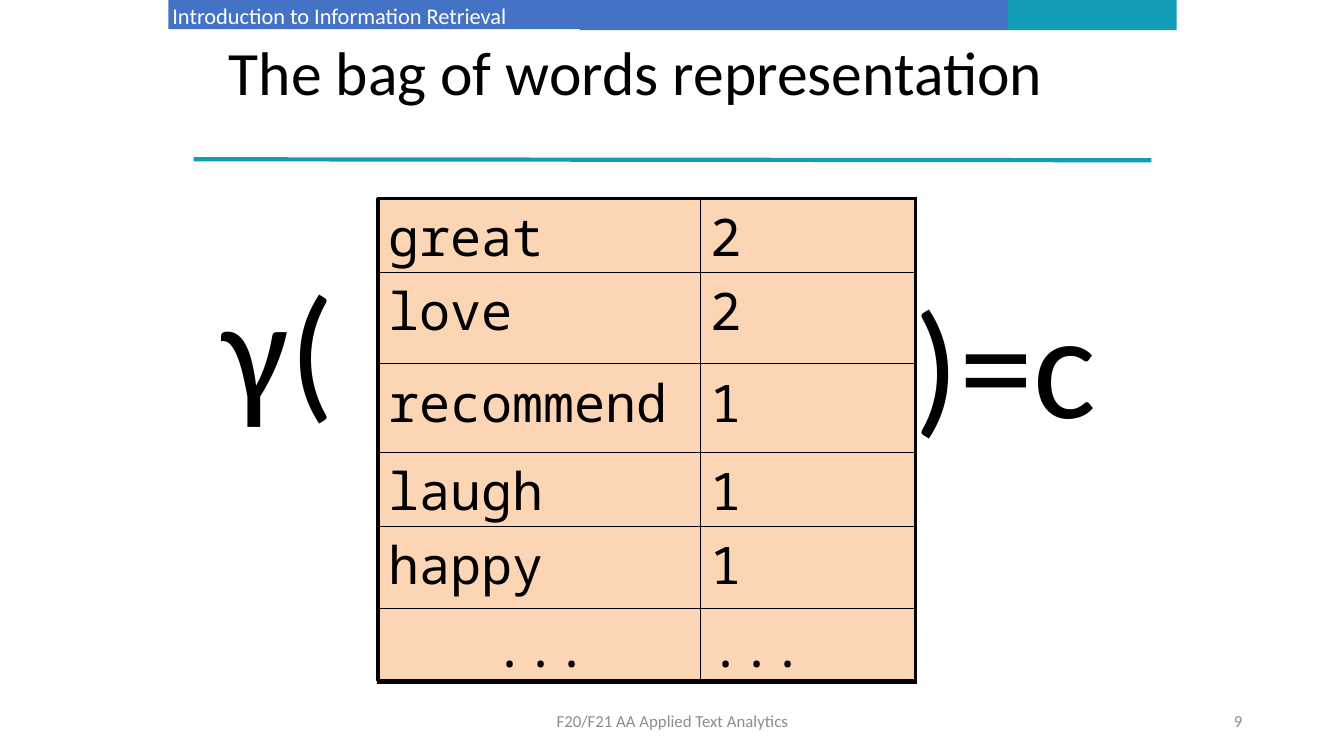
import pptx
import pptx.dml.color
import pptx.enum.shapes
import pptx.enum.text
import pptx.oxml.ns
import pptx.util
from lxml import etree

Inches = pptx.util.Inches
Pt = pptx.util.Pt
qn = pptx.oxml.ns.qn
ALIGN = pptx.enum.text.PP_ALIGN
ANCHOR = pptx.enum.text.MSO_ANCHOR

COLORS = {"blue": "4472C4", "teal": "139CB7", "peach": "FCD5B5",
          "black": "000000", "white": "FFFFFF", "gray": "8C8C8C"}
WORD_COUNTS = [("great", "2"), ("love", "2"), ("recommend", "1"),
               ("laugh", "1"), ("happy", "1"), ("...", "...")]
ROW_HEIGHTS = [0.73, 0.91, 0.88, 0.73, 0.82, 0.73]
COL_WIDTHS = [3.2, 2.13]


def rgb(name):
    return pptx.dml.color.RGBColor.from_string(COLORS[name])


class SlideBuilder:
    body_font = "Calibri"
    mono_font = "Noto Sans Mono"

    def __init__(self, prs):
        self.slide = prs.slides.add_slide(prs.slide_layouts[5])
        self.shapes = self.slide.shapes

    def fill_text(self, tf, text, size, color="black", align=ALIGN.LEFT, font=body_font):
        tf.text = text
        p = tf.paragraphs[0]
        p.alignment = align
        r = p.runs[0]
        r.font.name = font
        r.font.size = Pt(size)
        r.font.color.rgb = rgb(color)
        return p

    def set_margins(self, target, left, top, right, bottom):
        target.margin_left, target.margin_top = Inches(left), Inches(top)
        target.margin_right, target.margin_bottom = Inches(right), Inches(bottom)

    def rect(self, box, fill, line_width=None):
        sp = self.shapes.add_shape(pptx.enum.shapes.MSO_SHAPE.RECTANGLE, *map(Inches, box))
        sp.shadow.inherit = False
        sp.fill.solid()
        sp.fill.fore_color.rgb = rgb(fill)
        if line_width:
            sp.line.color.rgb = rgb("black")
            sp.line.width = Pt(line_width)
        else:
            sp.line.fill.background()

    def line(self, start, end, color, width):
        cxn = self.shapes.add_connector(pptx.enum.shapes.MSO_CONNECTOR.STRAIGHT,
                                        *map(Inches, start + end))
        cxn.line.color.rgb = rgb(color)
        cxn.line.width = Pt(width)
        etree.SubElement(cxn._element.spPr, qn("a:effectLst"))

    def title(self, box, text, size):
        sp = self.shapes.title
        sp.left, sp.top, sp.width, sp.height = map(Inches, box)
        tf = sp.text_frame
        tf.vertical_anchor = ANCHOR.MIDDLE
        tf.auto_size = pptx.enum.text.MSO_AUTO_SIZE.NONE
        self.set_margins(tf, 0.1, 0.05, 0.14, 0.05)
        self.fill_text(tf, text, size).line_spacing = 0.9

    def text(self, box, text, size, color="black", align=ALIGN.LEFT,
             anchor=ANCHOR.TOP, margins=(0.04, 0, 0.04, 0), wrap=True):
        tf = self.shapes.add_textbox(*map(Inches, box)).text_frame
        tf.word_wrap = wrap
        tf.vertical_anchor = anchor
        self.set_margins(tf, *margins)
        self.fill_text(tf, text, size, color, align)

    def border(self, cell, side, width):
        ln = etree.SubElement(cell._tc.get_or_add_tcPr(), qn(f"a:ln{side}"), w=str(Pt(width)))
        fill = etree.SubElement(ln, qn("a:solidFill"))
        etree.SubElement(fill, qn("a:srgbClr"), val=COLORS["black"])

    def table(self, box, rows, col_widths, row_heights, size):
        """Add a see-through grid with thick outer and thin inner borders."""
        table = self.shapes.add_table(len(rows), len(col_widths), *map(Inches, box)).table
        table.first_row = table.horz_banding = False
        for column, width in zip(table.columns, col_widths):
            column.width = Inches(width)
        last_row, last_col = len(rows) - 1, len(col_widths) - 1
        for i, (values, height) in enumerate(zip(rows, row_heights)):
            table.rows[i].height = Inches(height)
            for j, value in enumerate(values):
                cell = table.cell(i, j)
                self.set_margins(cell, 0.1, 0.03, 0.06, 0)
                centered = (i, j) == (last_row, 0)
                self.fill_text(cell.text_frame, value, size, font=self.mono_font,
                               align=ALIGN.CENTER if centered else ALIGN.LEFT)
                outer = {"L": j == 0, "R": j == last_col, "T": i == 0, "B": i == last_row}
                for side, is_outer in outer.items():
                    self.border(cell, side, 2.25 if is_outer else 1)
                cell.fill.background()


def main():
    prs = pptx.Presentation()
    prs.slide_width, prs.slide_height = Inches(13.33), Inches(7.5)
    s = SlideBuilder(prs)

    s.rect((1.67, 0, 4.4, 0.29), "blue")
    s.text((1.67, -0.15, 4.4, 0.61), "Introduction to Information Retrieval", 16,
           "white", anchor=ANCHOR.MIDDLE)
    s.rect((5.75, 0, 4.25, 0.3), "blue")
    s.rect((10, 0, 1.67, 0.3), "teal")
    s.line((1.92, 1.58), (11.42, 1.59), "teal", 3)
    s.title((2.17, 0, 9.17, 1.5), "The bag of words representation", 44)

    s.rect((3.75, 1.97, 5.33, 4.78), "peach", 2.25)
    s.text((2.17, 2.53, 1.51, 1.83), "γ(", 106)
    s.text((9.03, 2.68, 1.91, 1.78), ")=c", 106, wrap=False)
    s.table((3.75, 1.97, 5.33, 4.8), WORD_COUNTS, COL_WIDTHS, ROW_HEIGHTS, 37)

    footer_margins = (0.1, 0.05, 0.1, 0.05)
    s.text((4.42, 6.95, 4.5, 0.4), "F20/F21 AA Applied Text Analytics", 12, "gray",
           ALIGN.CENTER, ANCHOR.MIDDLE, footer_margins)
    s.text((9.42, 6.95, 3, 0.4), "9", 12, "gray", ALIGN.RIGHT, ANCHOR.MIDDLE, footer_margins)

    prs.save("out.pptx")


if __name__ == "__main__":
    main()
